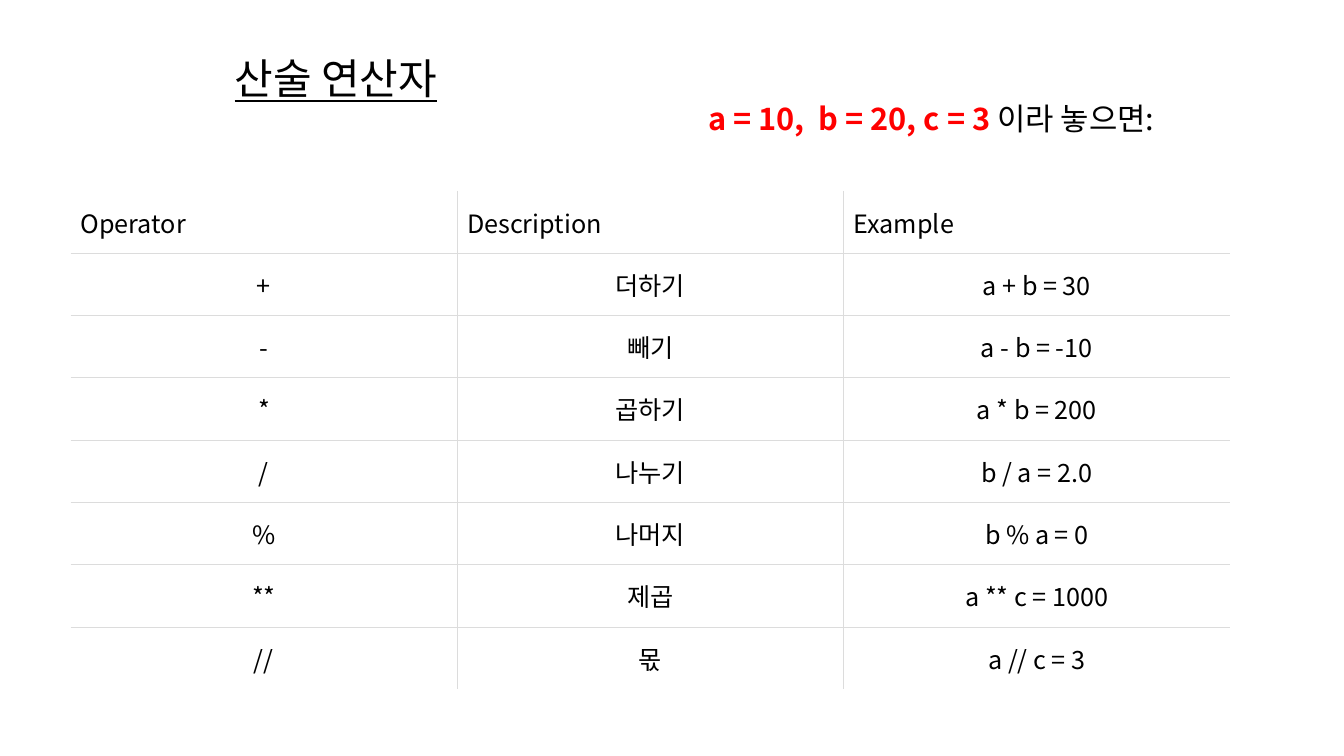
from lxml import etree
from pptx import Presentation
from pptx.dml.color import RGBColor
from pptx.enum.text import MSO_ANCHOR, MSO_AUTO_SIZE, PP_ALIGN
from pptx.oxml.ns import qn
from pptx.util import Cm, Pt

LEFT, CENTER = PP_ALIGN.LEFT, PP_ALIGN.CENTER
MIDDLE = MSO_ANCHOR.MIDDLE
GROW = MSO_AUTO_SIZE.SHAPE_TO_FIT_TEXT
TITLE_ONLY = 5

FONT = "Noto Sans CJK KR"
COLORS = {"text": "000000", "values": "FF0000", "grid": "DCDCDC", "cell": "FFFFFF"}

OPERATORS = [
    ("Operator", "Description", "Example"),
    ("+", "더하기", "a + b = 30"),
    ("-", "빼기", "a - b = -10"),
    ("*", "곱하기", "a * b = 200"),
    ("/", "나누기", "b / a = 2.0"),
    ("%", "나머지", "b % a = 0"),
    ("**", "제곱", "a ** c = 1000"),
    ("//", "몫", "a // c = 3"),
]
COLUMN_WIDTH, ROW_HEIGHT = Cm(9.74), Cm(1.57)


def format_run(run, size, color="text", bold=False):
    run.font.size = Pt(size)
    run.font.bold = bold
    run.font.color.rgb = RGBColor.from_string(COLORS[color])
    run.font.name = FONT
    latin = run._r.rPr.find(qn("a:latin"))
    east_asian = etree.Element(qn("a:ea"), typeface=FONT)
    latin.addnext(east_asian)


def add_title(slide, text):
    title = slide.shapes.title
    title.left, title.top = Cm(5.66), Cm(1.02)
    title.width, title.height = Cm(7.5), Cm(2.06)
    title.text_frame.text = text
    title.text_frame.vertical_anchor = MIDDLE
    heading = title.text_frame.paragraphs[0]
    heading.alignment = LEFT
    heading.line_spacing = 0.9
    format_run(heading.runs[0], 30)
    heading.runs[0].font.underline = True


def add_assumption(slide, values, ending):
    assumption = slide.shapes.add_textbox(Cm(17.6), Cm(2.39), Cm(13.31), Cm(1.19))
    frame = assumption.text_frame
    frame.word_wrap = False
    frame.auto_size = GROW
    sentence = frame.paragraphs[0]
    for text, color, bold in ((values, "values", True), (ending, "text", False)):
        run = sentence.add_run()
        run.text = text
        format_run(run, 22, color, bold)


def set_border(cell, side, visible):
    line = etree.SubElement(cell._tc.get_or_add_tcPr(), qn(f"a:ln{side}"), w=str(Pt(0.6)))
    if visible:
        fill = etree.SubElement(line, qn("a:solidFill"))
        etree.SubElement(fill, qn("a:srgbClr"), val=COLORS["grid"])
    else:
        etree.SubElement(line, qn("a:noFill"))


def format_cell(cell, text, alignment, inner_sides):
    cell.text_frame.text = text
    cell.vertical_anchor = MIDDLE
    cell.margin_left = cell.margin_right = Cm(0.25)
    cell.margin_top = cell.margin_bottom = Cm(0.18)
    paragraph = cell.text_frame.paragraphs[0]
    paragraph.alignment = alignment
    format_run(paragraph.runs[0], 18)
    # Borders come before the fill in the cell properties
    for side, visible in inner_sides.items():
        set_border(cell, side, visible)
    cell.fill.solid()
    cell.fill.fore_color.rgb = RGBColor.from_string(COLORS["cell"])


def add_operator_table(slide, rows):
    row_count, column_count = len(rows), len(rows[0])
    table = slide.shapes.add_table(
        row_count, column_count, Cm(1.78), Cm(4.81),
        COLUMN_WIDTH * column_count, ROW_HEIGHT * row_count).table
    table.first_row = False
    table.horz_banding = False
    for r, row in enumerate(rows):
        for c, text in enumerate(row):
            # Only the inner grid lines are drawn
            inner_sides = {"L": c > 0, "R": c < column_count - 1,
                           "T": r > 0, "B": r < row_count - 1}
            format_cell(table.cell(r, c), text, CENTER if r else LEFT, inner_sides)


def main():
    presentation = Presentation()
    presentation.slide_width, presentation.slide_height = Cm(33.87), Cm(19.05)
    slide = presentation.slides.add_slide(presentation.slide_layouts[TITLE_ONLY])

    # Heading and the assumed values
    add_title(slide, "산술 연산자")
    add_assumption(slide, "a = 10,  b = 20, c = 3 ", "이라 놓으면:")

    # Arithmetic operators
    add_operator_table(slide, OPERATORS)

    presentation.save("out.pptx")


if __name__ == "__main__":
    main()
